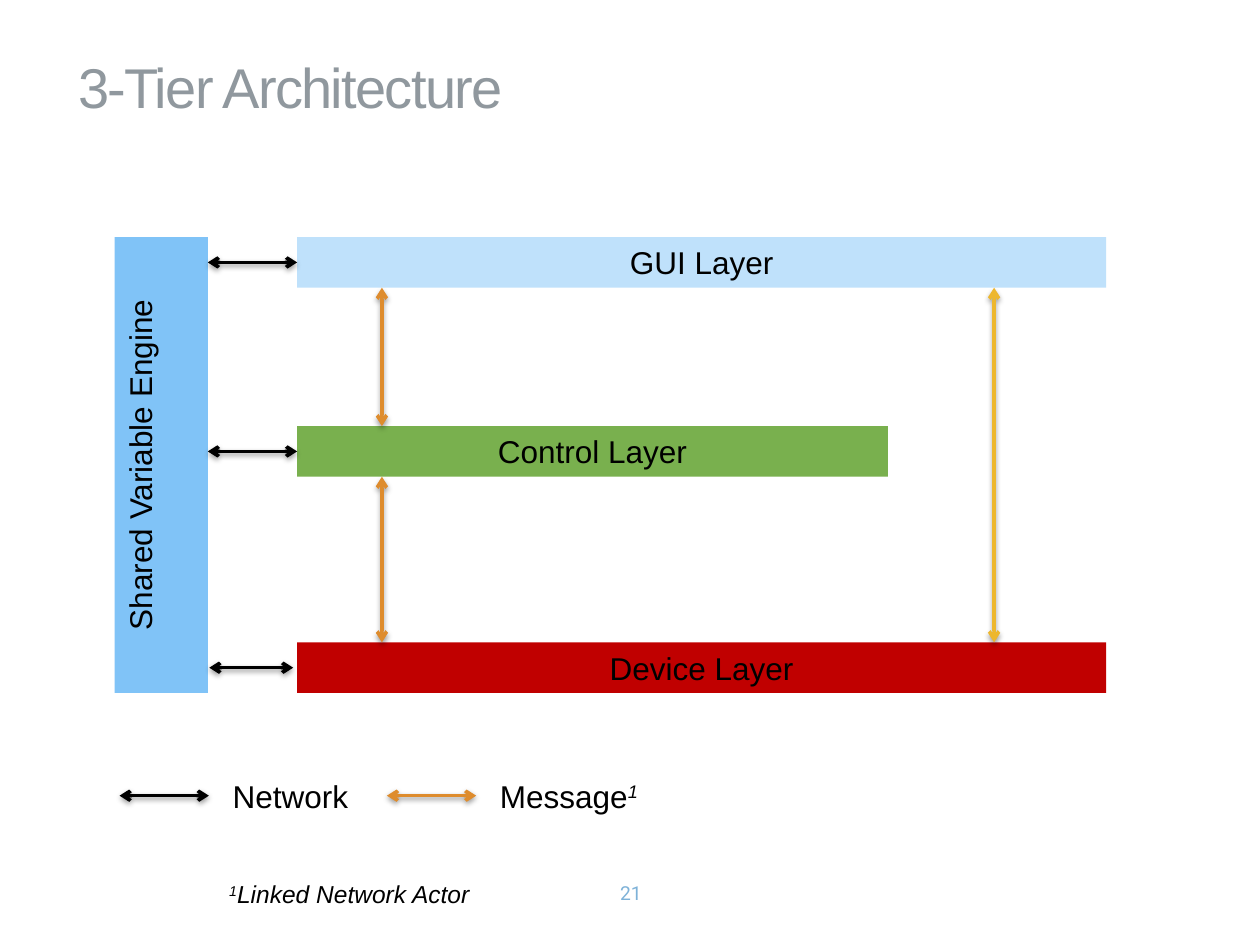
from lxml import etree
from pptx import Presentation
from pptx.dml.color import RGBColor
from pptx.enum import shapes, text
from pptx.oxml import ns
from pptx.util import Cm, Pt

COLORS = {
    "title": "90989E", "number": "7EB2D8", "ink": "000000",
    "engine": "80C3F7", "gui": "BFE1FB", "control": "79B04E", "device": "C00000",
    "network": "000000", "message": "DE8C2D", "direct": "EDB72E",
}
BAR_HEIGHT = 1.02


def rgb(name):
    return RGBColor.from_string(COLORS[name])


def style(paragraph, size, color="ink", font="Arial", align=text.PP_ALIGN.LEFT):
    paragraph.alignment = align
    paragraph.font.size = Pt(size)
    paragraph.font.name = font
    paragraph.font.color.rgb = rgb(color)


def add_bar(slide, box, label, color, vertical=False):
    bar = slide.shapes.add_shape(shapes.MSO_SHAPE.RECTANGLE, *map(Cm, box))
    bar.shadow.inherit = False
    bar.fill.solid()
    bar.fill.fore_color.rgb = rgb(color)
    bar.line.fill.background()
    frame = bar.text_frame
    frame.text = label
    frame.vertical_anchor = text.MSO_ANCHOR.TOP
    if vertical:
        frame._txBody.bodyPr.set("vert", "vert270")
    style(frame.paragraphs[0], 18, align=text.PP_ALIGN.CENTER)


def add_label(slide, box, parts, size):
    """Add a text box; parts are (words, italic, superscript) triples."""
    frame = slide.shapes.add_textbox(*map(Cm, box)).text_frame
    frame.word_wrap = True
    paragraph = frame.paragraphs[0]
    style(paragraph, size)
    for words, italic, superscript in parts:
        run = paragraph.add_run()
        run.text = words
        run.font.italic = italic
        if superscript:
            run.font._element.set("baseline", "30000")


def add_arrow(slide, start, end, color):
    """Add a double-headed arrow with a soft shadow below it."""
    arrow = slide.shapes.add_connector(
        shapes.MSO_CONNECTOR.STRAIGHT, *map(Cm, (*start, *end)))
    arrow.line.color.rgb = rgb(color)
    arrow.line.width = Pt(2)
    line = arrow.line._get_or_add_ln()
    for tip in ("a:headEnd", "a:tailEnd"):
        etree.SubElement(line, ns.qn(tip), type="arrow")
    effects = etree.SubElement(arrow._element.spPr, ns.qn("a:effectLst"))
    shadow = etree.SubElement(
        effects, ns.qn("a:outerShdw"), blurRad=str(Pt(3.1)), dist=str(Pt(1.6)),
        dir="5400000", rotWithShape="0")
    shade = etree.SubElement(shadow, ns.qn("a:srgbClr"), val=COLORS["ink"])
    etree.SubElement(shade, ns.qn("a:alpha"), val="38000")


def add_title(slide, box):
    title = slide.shapes.title
    title.left, title.top, title.width, title.height = map(Cm, box)
    frame = title.text_frame
    frame.text = "3-Tier Architecture"
    frame.vertical_anchor = text.MSO_ANCHOR.MIDDLE
    style(frame.paragraphs[0], 32, "title")
    frame.paragraphs[0].runs[0].font._element.set("spc", "-100")


def add_tiers(slide, box):
    left, top, width, height = box
    engine_width, layer_offset = 1.88, 3.68
    engine_right, layer_left = left + engine_width, left + layer_offset
    full_width = width - layer_offset
    gui, control, device = top, top + 3.81, top + height - BAR_HEIGHT

    add_bar(slide, (left, top, engine_width, height),
            "Shared Variable Engine", "engine", vertical=True)
    layers = [
        ("GUI Layer", "gui", gui, full_width, 0, 0),
        ("Control Layer", "control", control, 11.91, 0, 0),
        ("Device Layer", "device", device, full_width, 0.03, 0.08),
    ]
    for label, color, y, layer_width, start_gap, end_gap in layers:
        add_bar(slide, (layer_left, y, layer_width, BAR_HEIGHT), label, color)
        middle = y + BAR_HEIGHT / 2
        add_arrow(slide, (engine_right + start_gap, middle),
                  (layer_left - end_gap, middle), "network")

    message_x, direct_x = left + 5.39, left + 17.73
    links = [
        (message_x, control, gui, "message"),
        (message_x, device, control, "message"),
        (direct_x, device, gui, "direct"),
    ]
    for x, lower, upper, color in links:
        add_arrow(slide, (x, lower), (x, upper + BAR_HEIGHT), color)


def add_legend(slide, box):
    left, top, width, height = box
    entries = [
        (0, 3.02, "network", [("Network", False, False)]),
        (5.39, 3.78, "message", [("Message", False, False), ("1", True, True)]),
    ]
    for offset, label_width, color, parts in entries:
        x, middle = left + offset, top + height / 2
        add_arrow(slide, (x, middle), (x + 1.8, middle), color)
        add_label(slide, (x + 2.03, top, label_width, height), parts, 18)


def add_footer(slide, box):
    left, top, width, height = box
    add_label(slide, (left, top, 7.29, height),
              [("1", True, True), ("Linked Network Actor", True, False)], 14)
    number = slide.shapes.add_textbox(
        Cm(left + width - 2), Cm(top + 0.02), Cm(2), Cm(0.76)).text_frame
    number.text = "21"
    number.word_wrap = True
    number.vertical_anchor = text.MSO_ANCHOR.MIDDLE
    style(number.paragraphs[0], 11, "number", "Roboto", text.PP_ALIGN.CENTER)


def main():
    deck = Presentation()
    deck.slide_width, deck.slide_height = Cm(25.4), Cm(19.05)
    slide = deck.slides.add_slide(deck.slide_layouts[5])
    add_title(slide, (1.32, 0.41, 22.68, 2.67))
    add_tiers(slide, (2.31, 4.78, 19.99, 9.19))
    add_legend(slide, (2.41, 15.53, 11.2, BAR_HEIGHT))
    add_footer(slide, (4.37, 17.6, 9.35, 0.86))
    deck.save("out.pptx")


if __name__ == "__main__":
    main()
